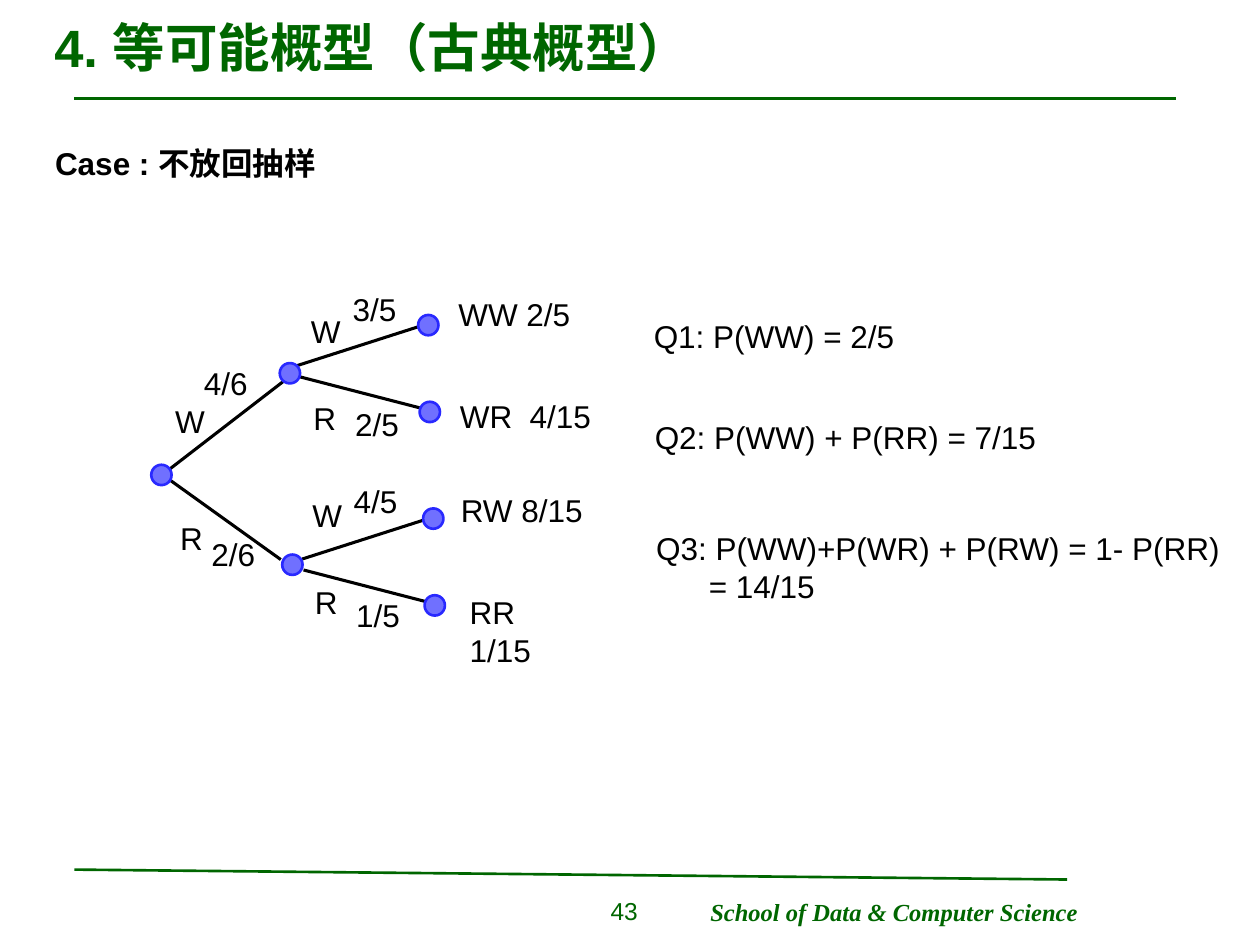
from lxml.etree import SubElement
from pptx import Presentation
from pptx.dml.color import RGBColor
from pptx.enum.shapes import MSO_CONNECTOR, MSO_SHAPE
from pptx.enum.text import MSO_ANCHOR, MSO_AUTO_SIZE, PP_ALIGN
from pptx.oxml.ns import qn
from pptx.util import Cm, Pt

GREEN = RGBColor(0x00, 0x66, 0x00)
BLACK = RGBColor(0x00, 0x00, 0x00)
NODE_FILL = RGBColor(0x70, 0x70, 0xFF)
NODE_LINE = RGBColor(0x29, 0x29, 0xFF)

# Content; all lengths in centimetres
TITLE = "4. 等可能概型（古典概型）"
CASE = "Case : 不放回抽样"
FOOTER = "School of Data & Computer Science"
PAGE_NUMBER = "43"

RULES = [(1.5, 1.98, 23.7, 1.98), (1.5, 17.53, 21.51, 17.73)]

# Tree: the lower subtree repeats the upper one, moved by SUBTREE_SHIFT
NODE_SIZE = 0.41
SUBTREE_SHIFT = (0.1, 3.9)
INNER_NODES = [(3.05, 9.37), (5.64, 7.32), (5.69, 11.18)]
UPPER_LEAVES = [(8.43, 6.35), (8.46, 8.1)]
ROOT_BRANCHES = [(3.43, 9.45, 5.84, 7.59), (3.43, 9.68, 5.66, 11.28)]
UPPER_BRANCHES = [(5.99, 7.37, 8.61, 6.53), (6.02, 7.59, 8.61, 8.26)]

# Labels: width of the group, then text, left, top
BRANCH_LABELS = {
    1.09: [("W", 3.28, 7.98), ("W", 6.02, 6.17), ("W", 6.05, 9.88)],
    0.97: [("R", 3.38, 10.34), ("R", 6.07, 7.92), ("R", 6.1, 11.63)],
    1.4: [("4/6", 3.86, 7.21), ("3/5", 6.86, 5.72), ("4/5", 6.88, 9.6),
          ("2/5", 6.91, 8.05), ("1/5", 6.93, 11.89), ("2/6", 4.01, 10.67)],
}
# Text, left, top, width
OUTCOMES = [
    ("WW 2/5", 8.99, 5.82, 2.77),
    ("WR  4/15", 9.02, 7.87, 3.15),
    ("RW 8/15", 9.04, 9.78, 2.97),
    ("RR 1/15", 9.22, 11.84, 2.82),
]
ANSWERS = [
    (["Q1: P(WW) = 2/5"], 12.93, 6.27, 5.36),
    (["Q2: P(WW) + P(RR) = 7/15"], 12.95, 8.31, 8.38),
    (["Q3: P(WW)+P(WR) + P(RW) = 1- P(RR)", "= 14/15"], 12.98, 10.54, 11.89),
]
ANSWER_INDENT = 1.06
LINE_HEIGHT = 0.77


def add_run(para, text, size=18, color=BLACK, name="Arial", bold=False, italic=False):
    run = para.add_run()
    run.text = text
    font = run.font
    font.size, font.name, font.bold, font.italic = Pt(size), name, bold, italic
    font.color.rgb = color


def add_text(page, lines, left, top, width, wrap=False, align=PP_ALIGN.LEFT, **style):
    height = 0.25 + LINE_HEIGHT * len(lines)
    box = page.shapes.add_textbox(Cm(left), Cm(top), Cm(width), Cm(height))
    frame = box.text_frame
    frame.word_wrap = wrap
    frame.auto_size = MSO_AUTO_SIZE.NONE if wrap else MSO_AUTO_SIZE.SHAPE_TO_FIT_TEXT
    for index, line in enumerate(lines):
        para = frame.add_paragraph() if index else frame.paragraphs[0]
        para.alignment = align
        if index:
            para._p.get_or_add_pPr().set("marL", str(Cm(ANSWER_INDENT)))
        add_run(para, line, **style)


def add_line(page, ends, color, weight):
    line = page.shapes.add_connector(MSO_CONNECTOR.STRAIGHT, *map(Cm, ends))
    line.line.color.rgb = color
    line.line.width = Pt(weight)
    SubElement(line._element.spPr, qn("a:effectLst"))


def add_node(page, left, top):
    node = page.shapes.add_shape(
        MSO_SHAPE.OVAL, Cm(left), Cm(top), Cm(NODE_SIZE), Cm(NODE_SIZE))
    node.shadow.inherit = False
    node.fill.solid()
    node.fill.fore_color.rgb = NODE_FILL
    node.line.color.rgb = NODE_LINE
    node.line.width = Pt(1.5)


def shifted(points):
    """Move a tuple of x, y pairs from the upper to the lower subtree."""
    return tuple(value + SUBTREE_SHIFT[i % 2] for i, value in enumerate(points))


def main():
    deck = Presentation()
    deck.slide_width, deck.slide_height = Cm(25.4), Cm(19.05)
    page = deck.slides.add_slide(deck.slide_layouts[5])

    # Title, rules and footer
    title = page.shapes.title
    title.left, title.top, title.width, title.height = map(Cm, (0.84, 0.08, 23.72, 1.73))
    title.text_frame.auto_size = MSO_AUTO_SIZE.NONE
    title.text_frame.vertical_anchor = MSO_ANCHOR.MIDDLE
    heading = title.text_frame.paragraphs[0]
    heading.alignment = PP_ALIGN.LEFT
    add_run(heading, TITLE, size=30, color=GREEN, bold=True)
    for ends in RULES:
        add_line(page, ends, GREEN, 1.5)
    add_text(page, [FOOTER], 14.07, 17.96, 7.92, size=14, color=GREEN,
             name="Times New Roman", bold=True, italic=True)
    add_text(page, [PAGE_NUMBER], 10.52, 17.93, 2.59, wrap=True,
             align=PP_ALIGN.RIGHT, size=14, color=GREEN)

    # Probability tree
    for ends in ROOT_BRANCHES + UPPER_BRANCHES + [shifted(b) for b in UPPER_BRANCHES]:
        add_line(page, ends, BLACK, 1.75)
    for place in INNER_NODES + UPPER_LEAVES + [shifted(leaf) for leaf in UPPER_LEAVES]:
        add_node(page, *place)
    for width, labels in BRANCH_LABELS.items():
        for text, left, top in labels:
            add_text(page, [text], left, top, width)

    # Case, outcomes and answers
    add_text(page, [CASE], 0.86, 2.77, 5.92, bold=True)
    for text, left, top, width in OUTCOMES:
        add_text(page, [text], left, top, width)
    for lines, left, top, width in ANSWERS:
        add_text(page, lines, left, top, width)

    deck.save("out.pptx")


if __name__ == "__main__":
    main()
